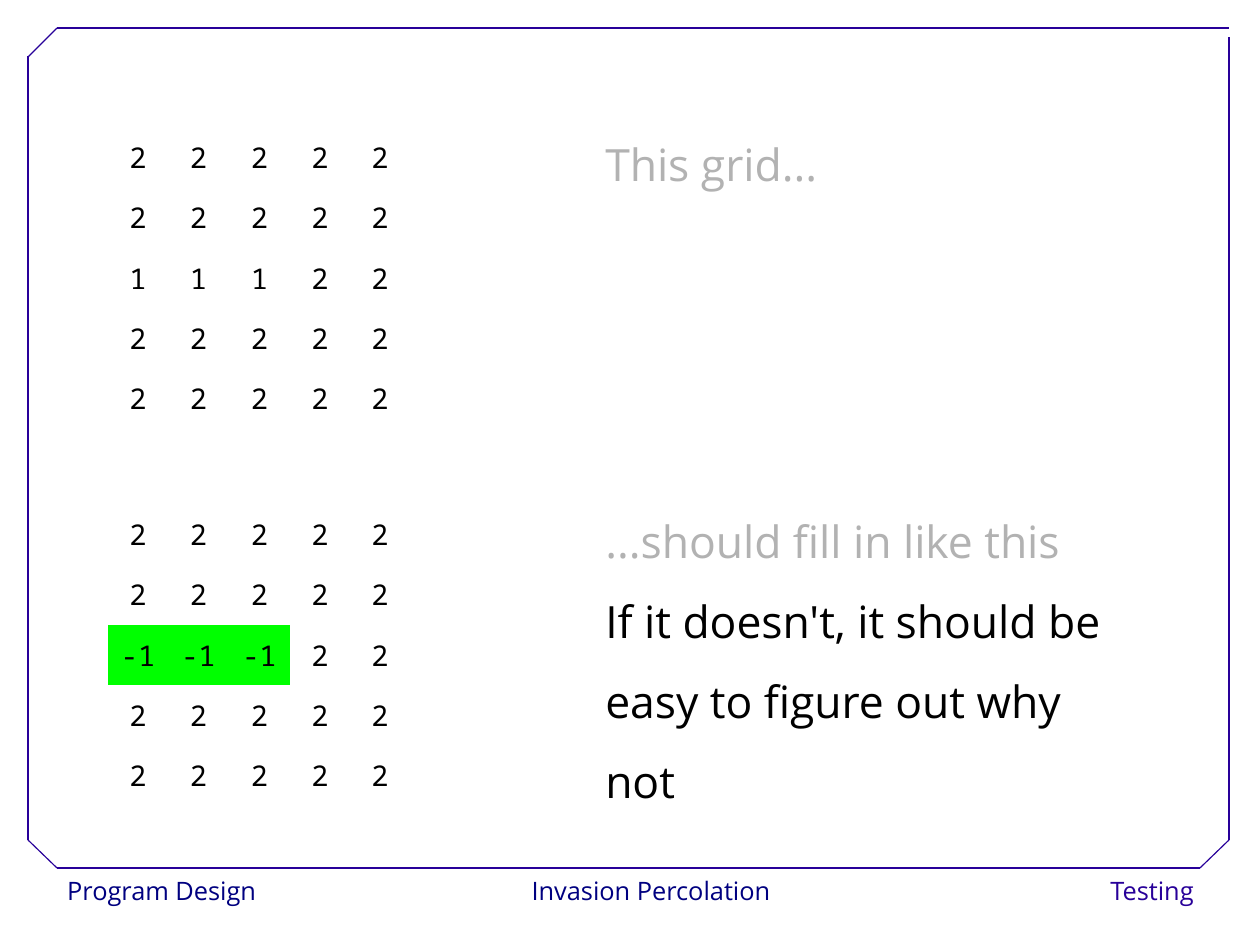
import pptx
import pptx.dml.color
import pptx.enum.shapes
import pptx.enum.text
import pptx.oxml.ns
import pptx.oxml.xmlchemy
import pptx.util

PX = 8000  # EMU in one px
NO_STYLE = "{2D5ABB26-0587-4C30-8999-92F81FD0307C}"
NAVY, VIOLET, GRAY, BLACK = "000080", "280099", "B2B2B2", "000000"
LEFT, CENTER, RIGHT = (pptx.enum.text.PP_ALIGN.LEFT, pptx.enum.text.PP_ALIGN.CENTER,
                       pptx.enum.text.PP_ALIGN.RIGHT)


def rgb(value):
    return pptx.dml.color.RGBColor.from_string(value)


def write(paragraph, text, *, size, color, font="Open Sans", align=LEFT, spacing=1.02):
    paragraph.alignment = align
    paragraph.line_spacing = spacing
    run = paragraph.add_run()
    run.text = text
    run.font.size = pptx.util.Pt(size)
    run.font.name = font
    run.font.color.rgb = rgb(color)


presentation = pptx.Presentation()
presentation.slide_width = 1260 * PX
presentation.slide_height = 945 * PX
slide = presentation.slides.add_slide(presentation.slide_layouts[6])
shapes = slide.shapes

# Footer labels
for text, left, width, align, color in [
    ("Program Design", 56, 212, LEFT, NAVY),
    ("Invasion Percolation", 520, 262, CENTER, NAVY),
    ("Testing", 1045, 160, RIGHT, VIOLET),
]:
    label = shapes.add_textbox(left * PX, 869 * PX, width * PX, 46 * PX)
    label.fill.solid()
    label.fill.fore_color.rgb = rgb("FFFFFF")
    label.text_frame.word_wrap = False
    write(label.text_frame.paragraphs[0], text, size=16, color=color, align=align)

# Frame with cut corners
for x1, y1, x2, y2 in [
    (57, 868, 1200, 868),
    (28, 840, 28, 56),
    (57, 28, 1229, 28),
    (1229, 840, 1229, 37),
    (28, 57, 57, 28),
    (1200, 868, 1229, 840),
    (28, 840, 57, 868),
]:
    line = shapes.add_connector(pptx.enum.shapes.MSO_CONNECTOR.STRAIGHT,
                                x1 * PX, y1 * PX, x2 * PX, y2 * PX)
    line.line.color.rgb = rgb(VIOLET)
    line.line.width = pptx.util.Pt(0.75)
    line._element.spPr.append(pptx.oxml.xmlchemy.OxmlElement("a:effectLst"))

# Grids before and after filling
column_widths = [60, 61, 61, 60, 60]
row_heights = [60, 61, 60, 60, 60]
for left, top, middle_row in [
    (108, 127, ["1", "1", "1", "2", "2"]),
    (108, 504, ["-1", "-1", "-1", "2", "2"]),
]:
    table = shapes.add_table(5, 5, left * PX, top * PX, sum(column_widths) * PX,
                             sum(row_heights) * PX).table
    table.first_row = table.horz_banding = False
    table._tbl.tblPr.find(pptx.oxml.ns.qn("a:tableStyleId")).text = NO_STYLE
    for column, width in zip(table.columns, column_widths):
        column.width = width * PX
    for index, (row, height) in enumerate(zip(table.rows, row_heights)):
        row.height = height * PX
        values = middle_row if index == 2 else ["2"] * 5
        for cell, value in zip(row.cells, values):
            cell.vertical_anchor = pptx.enum.text.MSO_ANCHOR.MIDDLE
            if value == "-1":
                cell.fill.solid()
                cell.fill.fore_color.rgb = rgb("00FF00")
            else:
                cell.fill.background()
            write(cell.text_frame.paragraphs[0], value, size=18, color=BLACK,
                  font="Noto Sans Mono", align=CENTER)

# Remarks beside the grids
for top, height, remarks in [
    (105, 91, [("This grid...", GRAY)]),
    (482, 331, [("...should fill in like this", GRAY),
                ("If it doesn't, it should be", BLACK),
                ("easy to figure out why not", BLACK)]),
]:
    frame = shapes.add_textbox(594 * PX, top * PX, 555 * PX, height * PX).text_frame
    frame.word_wrap = True
    for index, (text, color) in enumerate(remarks):
        paragraph = frame.add_paragraph() if index else frame.paragraphs[0]
        write(paragraph, text, size=28, color=color, spacing=1.5)

presentation.save("out.pptx")
